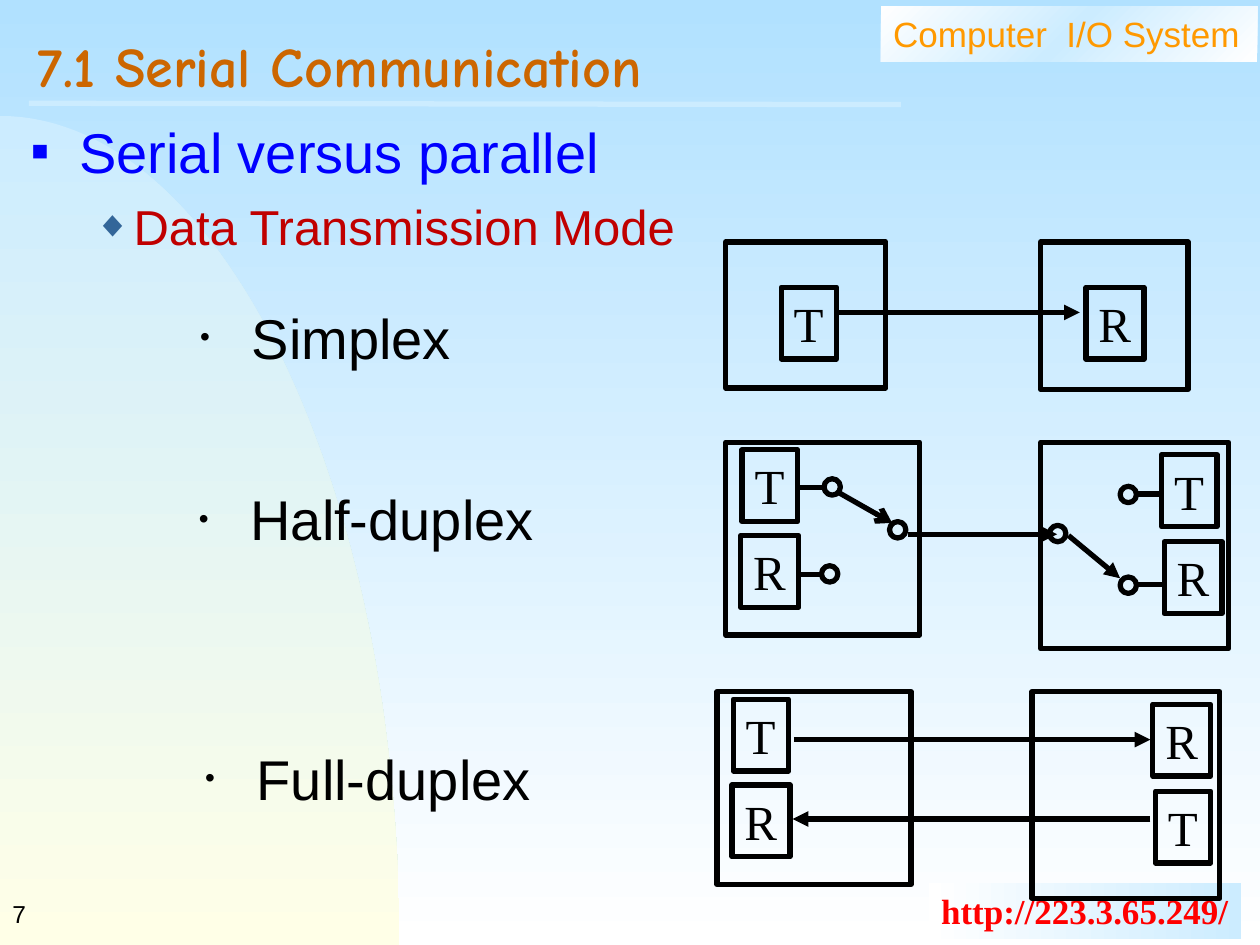
import copy

import pptx
import pptx.dml.color
import pptx.enum.shapes
import pptx.enum.text
import pptx.oxml.ns
import pptx.util
from lxml import etree

Inches = pptx.util.Inches
KIND = pptx.enum.shapes.MSO_SHAPE
ANCHOR = pptx.enum.text.MSO_ANCHOR
BLACK = "000000"
SANS, SERIF = "Arial", "Times New Roman"


def tint(code):
    return pptx.dml.color.RGBColor.from_string(code)


def child(parent, tag, **attrs):
    return etree.SubElement(parent, pptx.oxml.ns.qn(tag), attrs)


class Page:
    """Holds the drawing style and the current slide."""

    width = pptx.util.Pt(3)

    def __init__(self, deck):
        self.slide = deck.slides.add_slide(deck.slide_layouts[1])
        self.ink = self.slide.shapes

    def group(self):
        self.ink = self.slide.shapes.add_group_shape().shapes

    def ungroup(self):
        self.ink = self.slide.shapes

    def fade(self, fill, first, last, angle):
        fill.gradient()
        fill.gradient_angle = angle
        for stop, code in zip(fill.gradient_stops, (first, last)):
            stop.color.rgb = tint(code)

    def place(self, shape, x, y, w, h):
        shape.left, shape.top = Inches(x), Inches(y)
        shape.width, shape.height = Inches(w), Inches(h)
        shape.element.getparent().append(shape.element)

    def style(self, para, size, color, font=SANS, bold=False):
        para.alignment = pptx.enum.text.PP_ALIGN.LEFT
        for run in para.runs:
            run.font.size = pptx.util.Pt(size)
            run.font.name = font
            run.font.bold = bold
            run.font.color.rgb = tint(color)

    def bullet(self, para, mark, color, scale, left, hang):
        props = para._p.get_or_add_pPr()
        props.set("marL", str(Inches(left)))
        props.set("indent", str(-Inches(hang)))
        child(child(props, "a:buClr"), "a:srgbClr", val=color)
        child(props, "a:buSzPct", val=str(scale * 1000))
        child(props, "a:buFont", typeface=SANS)
        child(props, "a:buChar", char=mark)

    def words(self, shape, text, size, color, font=SANS, bold=False, wrap=False):
        frame = shape.text_frame
        frame.word_wrap = wrap
        frame.vertical_anchor = ANCHOR.TOP
        frame.text = text
        self.style(frame.paragraphs[0], size, color, font, bold)
        return frame

    def shape(self, kind, x, y, w, h):
        item = self.ink.add_shape(kind, Inches(x), Inches(y), Inches(w), Inches(h))
        item.shadow.inherit = False
        item.fill.background()
        item.line.color.rgb = tint(BLACK)
        item.line.width = self.width
        return item

    def box(self, x, y, w, h):
        return self.shape(KIND.RECTANGLE, x, y, w, h)

    def unit(self, name, x, y):
        cell = self.box(x, y, 0.44 if name == "T" else 0.46, 0.57)
        self.words(cell, name, 28, BLACK, SERIF)

    def node(self, x, y):
        self.shape(KIND.OVAL, x, y, 0.13, 0.13)

    def line(self, x1, y1, x2, y2, tip=None, color=BLACK):
        wire = self.ink.add_connector(
            pptx.enum.shapes.MSO_CONNECTOR.STRAIGHT,
            Inches(x1), Inches(y1), Inches(x2), Inches(y2))
        wire.line.color.rgb = tint(color)
        wire.line.width = self.width
        props = wire.element.spPr
        if tip:
            child(props.get_or_add_ln(), "a:tailEnd", type=tip)
        child(props, "a:effectLst")

    def banner(self, text, x, w, y, color, font, bold, ends, angle):
        bar = self.box(x, y, w, 0.44)
        bar.line.fill.background()
        self.fade(bar.fill, *ends, angle)
        self.words(bar, text, 20, color, font, bold)
        return bar

    def label(self, text, x, y, w, h, size):
        area = self.ink.add_textbox(Inches(x), Inches(y), Inches(w), Inches(h))
        return self.words(area, text, size, BLACK)

    def mode(self, text, x, y, w):
        frame = self.label(text, x, y, w, 0.64, 32)
        self.bullet(frame.paragraphs[0], "•", BLACK, 50, 0.41, 0.41)

    def curve(self, w, top, base, bend, rise):
        """Filled corner bounded by one cubic arc, drawn in short steps."""
        points = []
        for step in range(1, 61):
            t = step / 60
            s = 1 - t
            points.append((
                3 * s * t * t * w + 3 * s * s * t * bend + t ** 3 * w,
                (s ** 3 + 3 * s * s * t) * top + 3 * s * t * t * rise + t ** 3 * base))
        outline = self.ink.build_freeform(0, Inches(top), 1.0)
        outline.add_line_segments(
            [(Inches(x), Inches(y)) for x, y in points + [(0, base)]], close=True)
        item = outline.convert_to_shape()
        item.shadow.inherit = False
        item.line.fill.background()
        self.fade(item.fill, "CCECFF", "FFFFE7", 270)


def main():
    deck = pptx.Presentation()
    deck.slide_width, deck.slide_height = Inches(10), Inches(7.5)
    page = Page(deck)

    # Background and fixed decoration
    page.fade(page.slide.background.fill, "B1E1FF", "FFFFFF", 270)
    page.curve(3.17, 0.92, 7.5, 1.75, 3.87)
    head = page.banner("Computer  I/O System", 6.99, 2.99, 0.05, "FF9900", SANS,
                       False, ("FFFFFF", "FFFFFF"), 315)
    first = head.element.xpath(".//a:gs")[0]
    middle = copy.deepcopy(first)
    middle.set("pos", "50000")
    first.addnext(middle)
    head.fill.gradient_stops[1].color.rgb = tint("CCECFF")
    page.banner("http://223.3.65.249/", 7.37, 2.48, 7.01, "FF0000", SERIF,
                True, ("FFFFFF", "CCECFF"), 0)
    page.line(0.23, 0.82, 7.15, 0.83, color="CCECFF")
    number = page.label("7", 0, 7, 2.08, 0.5, 14)
    number.word_wrap = True
    number.vertical_anchor = ANCHOR.MIDDLE

    # Title and outline
    title, body = page.slide.placeholders
    page.place(title, 0.2, 0.2, 9.55, 0.77)
    frame = page.words(title, "7.1 Serial Communication", 32, "CC6600",
                       "Comic Neue", True, True)
    frame.vertical_anchor = ANCHOR.MIDDLE
    frame.auto_size = pptx.enum.text.MSO_AUTO_SIZE.NONE
    frame.paragraphs[0].line_spacing = 0.7

    page.place(body, 0.15, 0.88, 9.6, 6.2)
    frame = page.words(body, "Serial versus parallel", 32, "0000FF", wrap=True)
    frame.auto_size = pptx.enum.text.MSO_AUTO_SIZE.NONE
    page.bullet(frame.paragraphs[0], "■", "0000FF", 50, 0.38, 0.38)
    frame.paragraphs[0].space_before = 0
    sub = frame.add_paragraph()
    sub.text = "Data Transmission Mode"
    sub.level = 1
    page.bullet(sub, "◆", "336699", 75, 0.81, 0.31)
    sub.space_before = pptx.util.Pt(7)
    page.style(sub, 28, "C00000")

    # Simplex
    page.mode("Simplex", 1.49, 2.36, 2.49)
    page.group()
    page.box(5.76, 1.92, 1.27, 1.16)
    page.box(8.26, 1.92, 1.17, 1.17)
    page.unit("T", 6.2, 2.28)
    page.unit("R", 8.62, 2.28)
    page.line(6.65, 2.48, 8.57, 2.48, "triangle")
    page.ungroup()

    # Half-duplex and full-duplex share one layout of stations
    pairs = (("Half-duplex", 1.48, 3.8, 2.86, 5.76, 3.51, "TR"),
             ("Full-duplex", 1.53, 5.86, 2.79, 5.69, 5.49, "RT"))
    for text, x, y, w, left, top, far in pairs:
        page.mode(text, x, y, w)
        page.group()
        page.box(left, top, 1.54, 1.53)
        page.box(left + 2.5, top, 1.49, 1.64)
        page.unit("T", left + 0.13, top + 0.06)
        page.unit("R", left + 0.12, top + 0.74)
        page.unit(far[0], left + 3.46, top + 0.1)
        page.unit(far[1], left + 3.48, top + 0.79)
        if text == "Half-duplex":
            for spot in ((6.54, 3.8), (6.52, 4.49), (7.06, 4.14),
                         (8.33, 4.17), (8.89, 4.58), (8.89, 3.86)):
                page.node(*spot)
            for start, level in ((6.35, 3.87), (6.33, 4.56), (9.02, 4.64), (9.02, 3.92)):
                page.line(start, level, start + 0.2, level)
            page.line(7.21, 4.24, 8.39, 4.24, "triangle")
            page.line(6.64, 3.9, 7.08, 4.15, "arrow")
            page.line(8.48, 4.25, 8.89, 4.59, "triangle")
        else:
            page.line(6.3, 5.87, 9.13, 5.87, "triangle")
            page.line(9.13, 6.5, 6.29, 6.5, "triangle")
        page.ungroup()

    deck.save("out.pptx")


if __name__ == "__main__":
    main()
